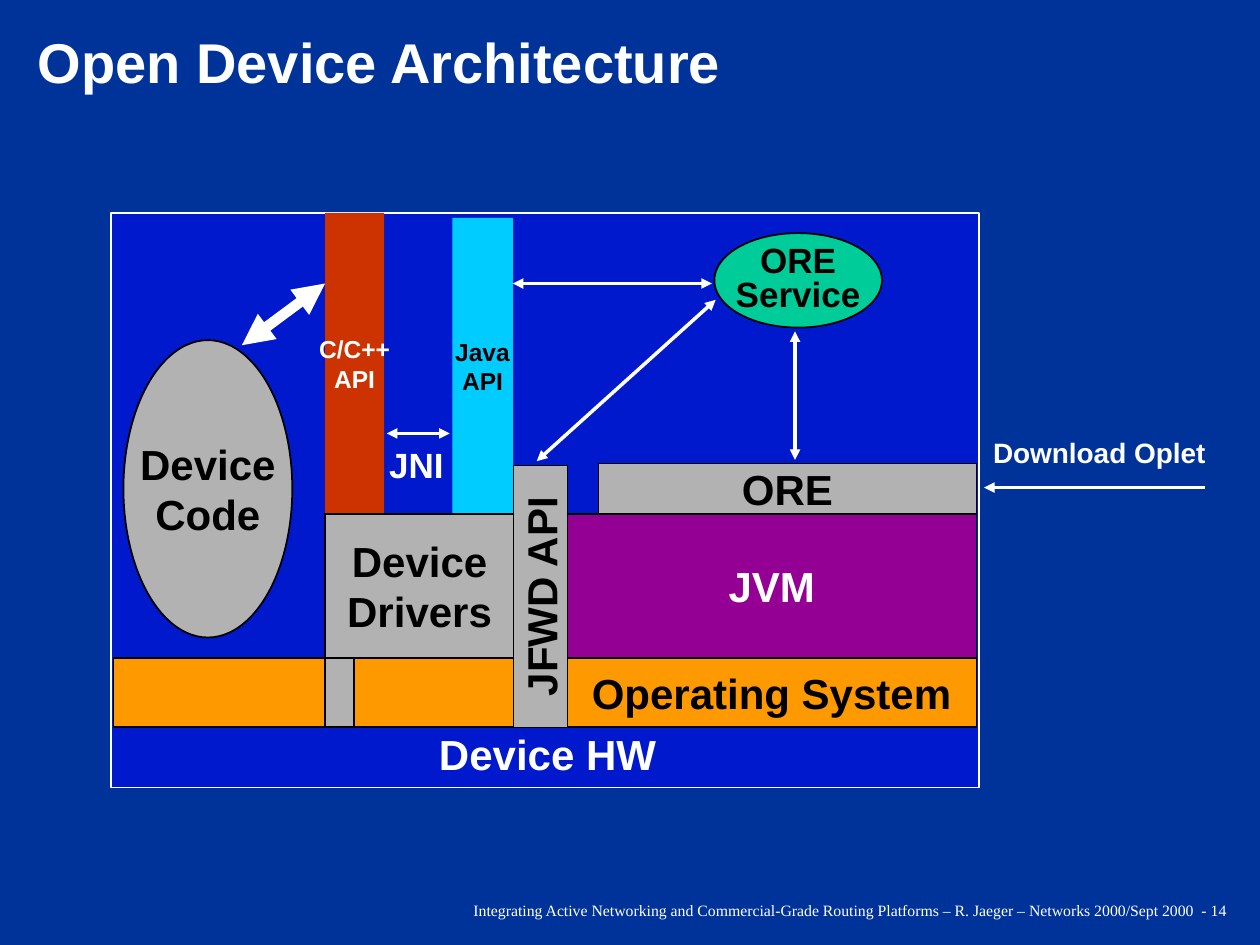
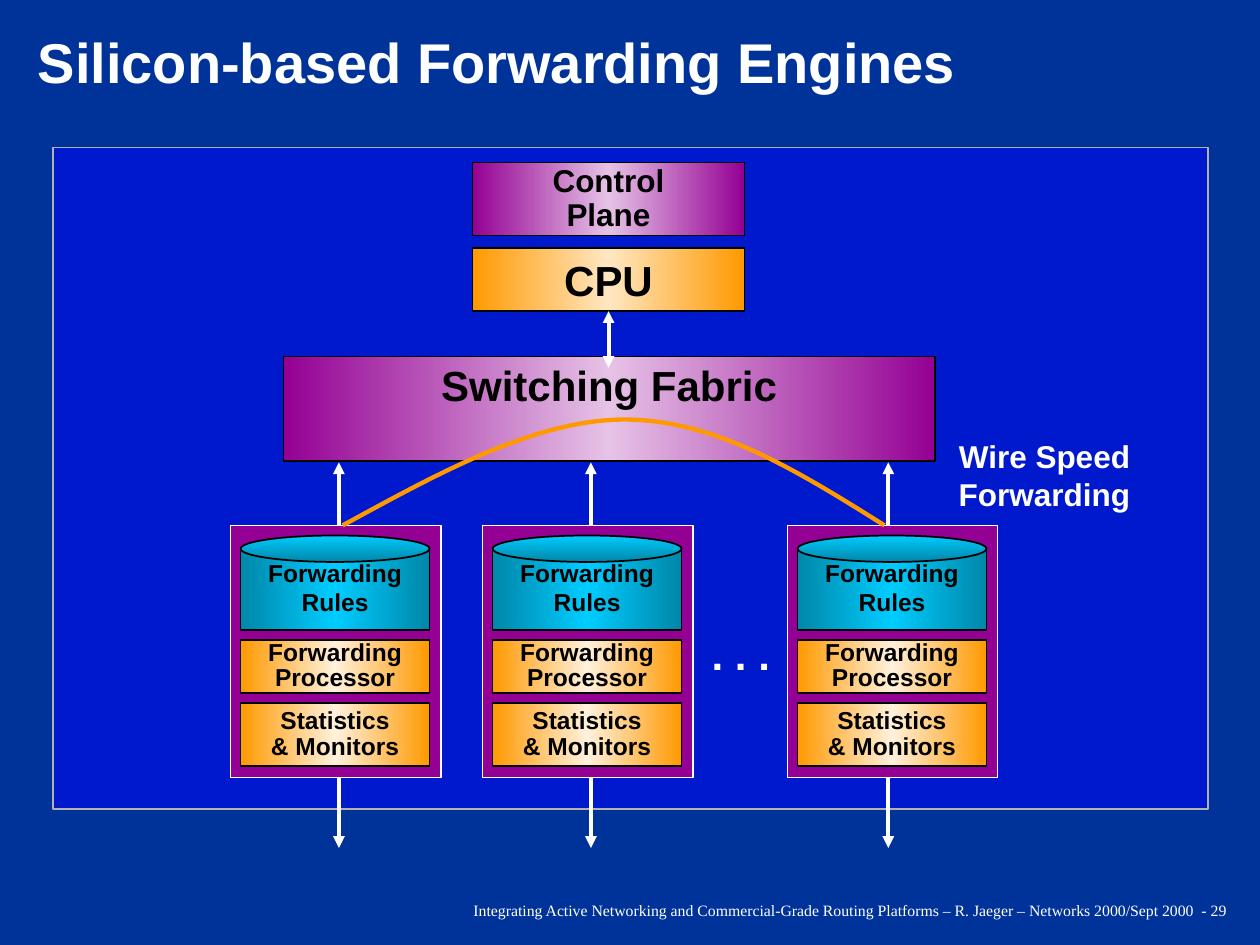
from copy import deepcopy as clone
from lxml.etree import SubElement as sub
from pptx import Presentation
from pptx.dml.color import RGBColor
from pptx.enum.shapes import MSO_CONNECTOR as Link, MSO_SHAPE as Kind
from pptx.enum.text import MSO_ANCHOR as Anchor, PP_ALIGN as Align
from pptx.oxml.ns import qn
from pptx.util import Inches, Pt


class Theme:
    back, panel = "003399", "0019CC"
    white, black, gray = "FFFFFF", "000000", "B2B2B2"
    orange, purple, red = "FF9900", "940094", "CC3300"
    sky, teal, green = "00CCFF", "0087A9", "00CC99"
    plum = [purple, "E6C3E6", purple]
    gold = [orange, "FFE7C2", orange]
    cream = [orange, "FFF1DC", orange]
    drum = [teal, sky, teal]
    lid = [sky, teal]
    sans, serif = "Arial", "Times New Roman"
    title, big, mid, sub, note, small, foot = 32, 24, 20, 18, 16, 14, 9


def box(slide, kind, at, text="", fill=None, line=None, width=1, size=Theme.big,
        color=Theme.black, font=Theme.sans, bold=True, align=Align.CENTER,
        space=1.0, turn=0, **frame):
    """Add a shape, or a text box if kind is None; a list as fill makes a gradient."""
    place = [Inches(n) for n in at]
    if kind is None:
        shape = slide.shapes.add_textbox(*place)
    else:
        shape = slide.shapes.add_shape(kind, *place)
        shape.shadow.inherit = False
        shape.rotation = turn
        if isinstance(fill, list):
            shape.fill.gradient()
            shape.fill.gradient_angle = 0 if len(fill) == 3 else 270
            stops = shape._element.spPr.find(".//" + qn("a:gsLst"))
            if len(fill) == 3:
                stops.insert(1, clone(stops[0]))
            for i, (stop, tone) in enumerate(zip(shape.fill.gradient_stops, fill)):
                stop.position = i / (len(fill) - 1)
                stop.color.rgb = RGBColor.from_string(tone)
        else:
            shape.fill.solid()
            shape.fill.fore_color.rgb = RGBColor.from_string(fill)
        if line:
            shape.line.color.rgb = RGBColor.from_string(line)
            shape.line.width = Pt(width)
        else:
            shape.line.fill.background()
    if not text:
        return shape
    look = {"word_wrap": False, "vertical_anchor": Anchor.MIDDLE,
            "margin_left": Inches(0.1), "margin_right": Inches(0.1),
            "margin_top": Inches(0.05), "margin_bottom": Inches(0.05), **frame}
    for name, value in look.items():
        setattr(shape.text_frame, name, value)
    shape.text_frame.text = text
    for para in shape.text_frame.paragraphs:
        para.alignment, para.line_spacing = align, space
        for name, value in {"name": font, "size": Pt(size), "bold": bold}.items():
            setattr(para.font, name, value)
        para.font.color.rgb = RGBColor.from_string(color)
    return shape


def arrow(slide, start, end, width=2, tips=("head", "tail")):
    link = slide.shapes.add_connector(Link.STRAIGHT, *[Inches(n) for n in start + end])
    link.line.color.rgb = RGBColor.from_string(Theme.white)
    link.line.width = Pt(width)
    for tip in tips:
        sub(link.line._get_or_add_ln(), qn(f"a:{tip}End"), type="triangle")
    sub(link._element.spPr, qn("a:effectLst"))
    return link


deck = Presentation()
deck.slide_width, deck.slide_height = Inches(10), Inches(7.5)
T = Theme
white = {"color": T.white}
edge = {"line": T.black}
top = {"vertical_anchor": Anchor.TOP}

# Shared background, title and footer
pages = []
for title, page in [("Open Device Architecture", 14),
                    ("Silicon-based Forwarding Engines", 29)]:
    slide = deck.slides.add_slide(deck.slide_layouts[6])
    slide.background.fill.solid()
    slide.background.fill.fore_color.rgb = RGBColor.from_string(T.back)
    box(slide, None, (0.25, 0.28, 9.56, 0.48), title, size=T.title, space=0.9,
        align=Align.LEFT, word_wrap=True, margin_left=Inches(0.05),
        margin_top=0, margin_bottom=0, **white, **top)
    box(slide, None, (2.08, 7.1, 7.75, 0.26),
        "Integrating Active Networking and Commercial-Grade Routing Platforms"
        f" – R. Jaeger – Networks 2000/Sept 2000  - {page}",
        size=T.foot, font=T.serif, bold=False, align=Align.RIGHT,
        word_wrap=True, **white, **top)
    pages.append(slide)
device, engine = pages

# Open device: layers from hardware up
box(device, Kind.RECTANGLE, (0.88, 1.69, 6.89, 4.56), fill=T.panel, line=T.white)
box(device, None, (0.92, 5.83, 6.85, 0.31), "Device HW", **white)
for at, text, fill, look in [
    ((4.75, 3.68, 3, 0.4), "ORE", T.gray, edge),
    ((4.5, 4.08, 3.25, 1.14), "JVM", T.purple, {**edge, **white}),
    ((0.9, 5.22, 6.85, 0.55), "Operating System", T.orange,
     {**edge, "align": Align.RIGHT, "margin_right": Inches(0.2)}),
    ((2.58, 1.69, 0.47, 2.39), "C/C++\nAPI", T.red, {**white, "size": T.small}),
    ((3.59, 1.73, 0.48, 2.35), "Java\nAPI", T.sky, {"size": T.small}),
    ((2.58, 4.08, 1.5, 1.14), "Device\nDrivers", T.gray, edge),
    ((2.58, 5.22, 0.23, 0.55), "", T.gray, edge),
    ((3.25, 4.52, 2.08, 0.43), "JFWD API", T.gray, {**edge, "turn": 270}),
]:
    box(device, Kind.RECTANGLE, at, text, fill, **look)
box(device, Kind.OVAL, (5.67, 1.85, 1.33, 0.75), "ORE\nService", T.green,
    size=T.mid, space=0.8, **edge)
box(device, Kind.OVAL, (0.98, 2.7, 1.34, 2.36), "Device\nCode", T.gray, **edge)
box(device, None, (2.99, 3.47, 0.63, 0.43), "JNI", size=T.mid, **white, **top)
box(device, None, (7.78, 3.41, 1.89, 0.36), "Download Oplet", size=T.note, **white)

arrow(device, (1.92, 2.74), (2.58, 2.25), 6)
for start, end in [((4.07, 2.25), (5.65, 2.25)), ((3.07, 3.44), (3.57, 3.44)),
                   ((5.68, 2.38), (4.26, 3.66)), ((6.31, 2.63), (6.31, 3.65))]:
    arrow(device, start, end)
arrow(device, (7.81, 3.87), (9.56, 3.87), tips=("head",))

# Forwarding engines: control on top, one column per engine below
box(engine, Kind.RECTANGLE, (0.42, 1.17, 9.17, 5.25), fill=T.panel, line=T.gray)
box(engine, Kind.RECTANGLE, (3.75, 1.29, 2.16, 0.58), "Control\nPlane", T.plum,
    size=T.sub, space=0.9, **edge)
cpu = box(engine, Kind.RECTANGLE, (3.75, 1.97, 2.16, 0.5), "CPU", T.gold, **edge)
box(engine, Kind.RECTANGLE, (2.25, 2.83, 5.17, 0.83), "Switching Fabric", T.plum,
    space=0.9, margin_top=Inches(0.07), **edge, **top)
arrow(engine, (4.83, 2.47), (4.83, 2.92), 2.25).begin_connect(cpu, 2)

for left, wire in [(1.83, 2.69), (3.83, 4.69), (6.25, 7.05)]:
    arrow(engine, (wire, 3.67), (wire, 6.73), 2.25)
    box(engine, Kind.RECTANGLE, (left, 4.17, 1.67, 2), fill=T.purple,
        line=T.white, width=0.75)
    for y, high, text, fill, look in [
        (4.36, 0.64, "Forwarding\nRules", T.drum, {"margin_bottom": Inches(0.09)}),
        (5.08, 0.42, "Forwarding\nProcessor", T.cream, {"space": 0.85, "width": 0.75}),
        (5.58, 0.5, "Statistics\n& Monitors", T.cream, {"space": 0.9, "width": 0.75}),
    ]:
        box(engine, Kind.RECTANGLE, (left + 0.08, y, 1.5, high), text, fill,
            size=T.small, **edge, **look)
    box(engine, Kind.OVAL, (left + 0.08, 4.25, 1.5, 0.21), fill=T.lid, **edge)

box(engine, None, (5.55, 4.94, 0.89, 0.5), ". . .", align=Align.LEFT,
    word_wrap=True, **white, **top)
box(engine, None, (7.51, 3.42, 1.56, 0.7), "Wire Speed\nForwarding",
    size=T.sub, **white)

# Forwarding arc: two cubic curves, each from three points
pen = engine.shapes.build_freeform(Inches(2.72), Inches(4.17))
pen.add_line_segments([(Inches(x), Inches(y)) for x, y in [
    (3.49, 3.75), (4.25, 3.33), (4.96, 3.33),
    (5.68, 3.33), (6.35, 3.75), (7.02, 4.17)]], close=False)
arc = pen.convert_to_shape()
arc.shadow.inherit = False
arc.fill.background()
arc.line.color.rgb = RGBColor.from_string(T.orange)
arc.line.width = Pt(2.5)
route = arc._element.spPr.find(".//" + qn("a:path"))
legs = route.findall(qn("a:lnTo"))
for i in (0, 3):
    curve = sub(route, qn("a:cubicBezTo"))
    for leg in legs[i:i + 3]:
        curve.append(leg[0])
        route.remove(leg)

deck.save("out.pptx")
